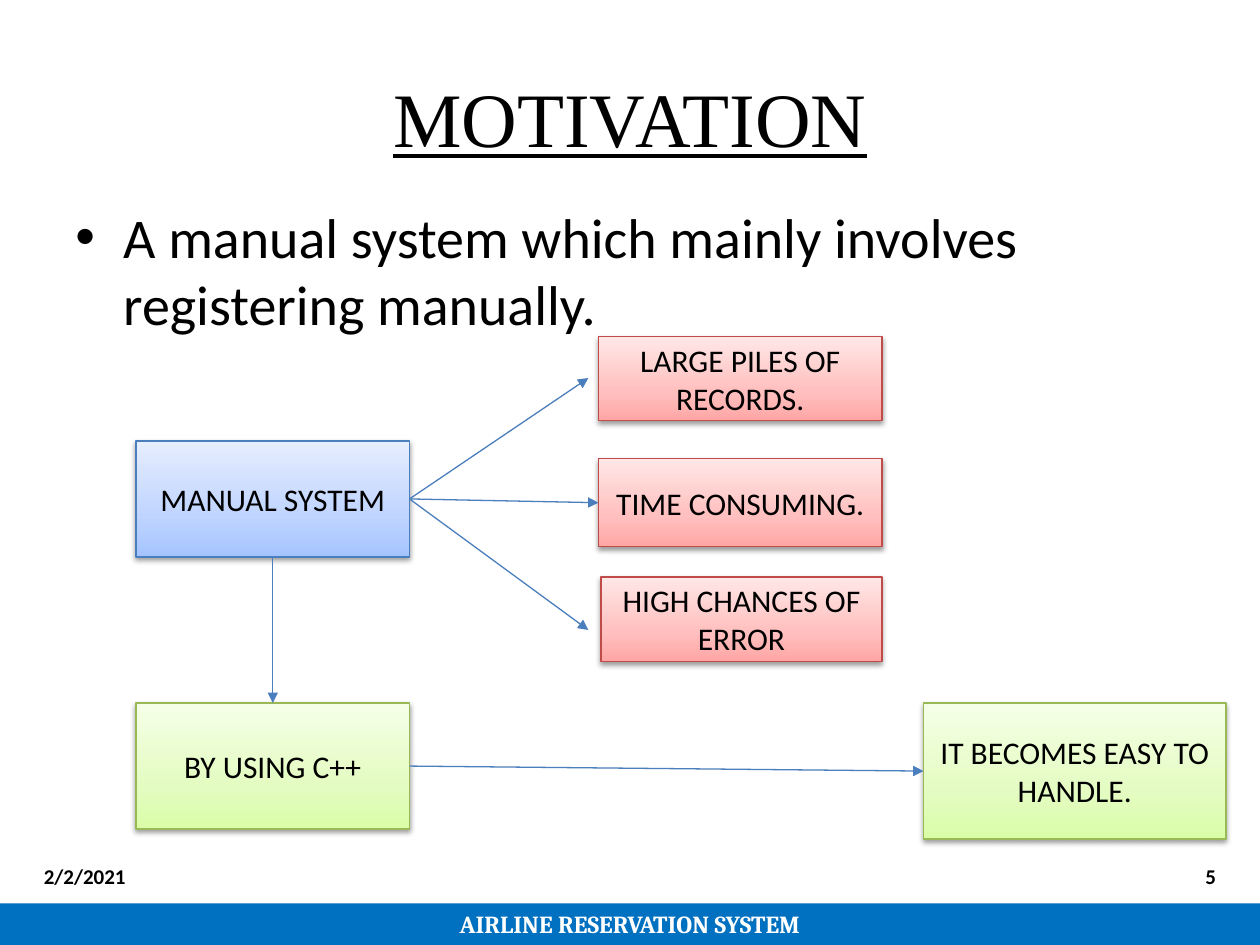
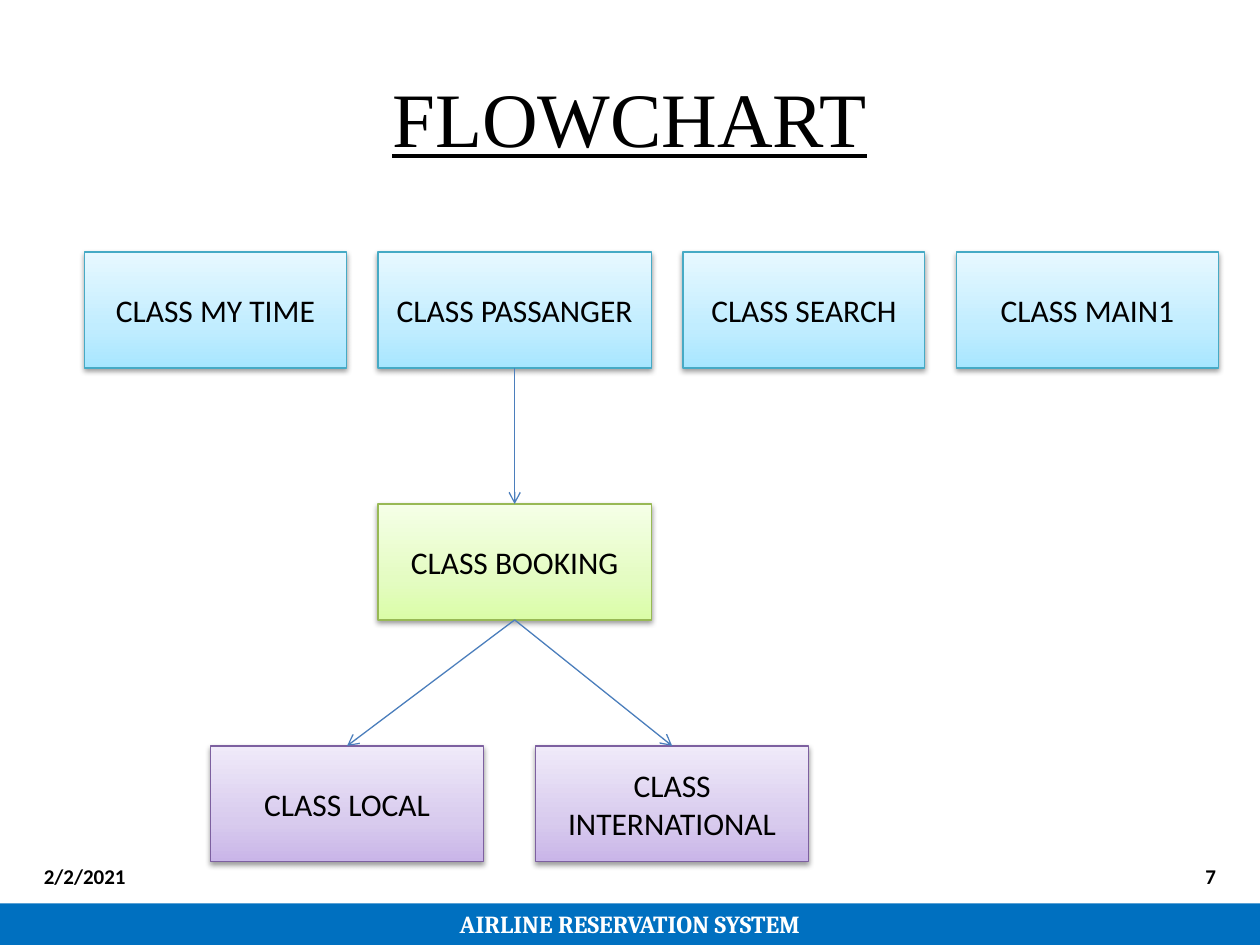
from collections import namedtuple
from dataclasses import dataclass

from lxml import etree
from pptx import Presentation
from pptx import util as u
from pptx.dml.color import RGBColor
from pptx.enum import shapes, text
from pptx.oxml.ns import qn

# Gradient stops run from the bottom of a box to its top.
Tone = namedtuple("Tone", "low mid high edge")


@dataclass(frozen=True)
class Theme:
    ink: str = "000000"
    paper: str = "FFFFFF"
    band: str = "0070C0"
    wire: str = "4B7EBC"
    blue: Tone = Tone("A4C4FF", "BFD4FF", "E6EEFF", "4B7EBC")
    red: Tone = Tone("FFA6A5", "FFC0BF", "FFE7E7", "BF4C48")
    green: Tone = Tone("DAFDA7", "E4FCC2", "F5FFE7", "98B955")
    aqua: Tone = Tone("A7E6FF", "C1EDFF", "E7F8FF", "46AAC5")
    plum: Tone = Tone("C9B5E8", "D8CBEE", "F0EAF9", "7D60A0")
    sans: str = "Calibri"
    serif: str = "Times New Roman"
    strap: str = "Cambria"
    title: int = 44
    body: int = 32
    label: int = 18
    foot: int = 12
    tag: int = 14
    line: float = 0.75


THEME = Theme()
LEFT, MID, RIGHT = text.PP_ALIGN.LEFT, text.PP_ALIGN.CENTER, text.PP_ALIGN.RIGHT
TOP, CORE, BASE = (text.MSO_ANCHOR.TOP, text.MSO_ANCHOR.MIDDLE,
                   text.MSO_ANCHOR.BOTTOM)


def node(parent, tag, **attrs):
    return etree.SubElement(parent, qn(tag), {k: str(v) for k, v in attrs.items()})


def write(shape, words, size=THEME.label, font=THEME.sans, color=THEME.ink,
          align=MID, anchor=CORE, bold=False, under=False):
    frame = shape.text_frame
    frame.word_wrap = True
    frame.vertical_anchor = anchor
    para = frame.paragraphs[0]
    para.alignment = align
    run = para.add_run()
    run.text = words
    run.font.size = u.Pt(size)
    run.font.name = font
    run.font.bold = bold
    run.font.underline = under
    run.font.color.rgb = RGBColor.from_string(color)
    return para


class Deck:
    def __init__(self, theme):
        self.theme = theme
        self.prs = Presentation()
        self.prs.slide_width = u.Inches(10)
        self.prs.slide_height = u.Inches(7.5)
        self.slide = None

    def page(self, title):
        t = self.theme
        self.slide = self.prs.slides.add_slide(self.prs.slide_layouts[6])
        self.note(title, 0.5, 0.3, 9, 1.25, size=t.title, font=t.serif, under=True)

    def note(self, words, x, y, w, h, **style):
        box = self.slide.shapes.add_textbox(*map(u.Inches, (x, y, w, h)))
        return write(box, words, **style)

    def bullet(self, words, x, y, w, h):
        t = self.theme
        para = self.note(words, x, y, w, h, size=t.body, align=LEFT, anchor=TOP)
        para.space_before = u.Pt(0.2 * t.body)
        props = para._p.get_or_add_pPr()
        hang = u.Inches(0.38)
        props.set("marL", str(hang))
        props.set("indent", str(-hang))
        node(props, "a:buFont", typeface="Arial")
        node(props, "a:buChar", char="•")

    def rect(self, x, y, w, h):
        box = self.slide.shapes.add_shape(
            shapes.MSO_SHAPE.RECTANGLE, *map(u.Inches, (x, y, w, h)))
        box.shadow.inherit = False
        return box

    def box(self, words, tone, x, y, w=2.17, h=0.92):
        """Add a labelled box with a soft gradient and a drop shadow."""
        box = self.rect(x, y, w, h)
        box.fill.gradient()
        box.fill.gradient_angle = 90
        box.line.color.rgb = RGBColor.from_string(tone.edge)
        box.line.width = u.Pt(self.theme.line)
        props = box.element.spPr
        stops = props.find(qn("a:gradFill")).find(qn("a:gsLst"))
        for stop in list(stops):
            stops.remove(stop)
        for pos, color in zip((0, 35, 100), tone):
            node(node(stops, "a:gs", pos=pos * 1000), "a:srgbClr", val=color)
        shade = node(props.find(qn("a:effectLst")), "a:outerShdw",
                     blurRad=u.Pt(3.1), dist=u.Pt(1.6), dir=90 * 60000,
                     rotWithShape=0)
        node(node(shade, "a:srgbClr", val=self.theme.ink), "a:alpha", val=38000)
        write(box, words)
        return box

    def arrow(self, start, side, end, into=None, head="triangle"):
        """Join a side of start to a side of the end box, or to an (x, y) point."""
        wire = self.slide.shapes.add_connector(
            shapes.MSO_CONNECTOR.STRAIGHT, 0, 0, 0, 0)
        wire.begin_connect(start, side)
        if into is None:
            wire.end_x, wire.end_y = map(u.Inches, end)
        else:
            wire.end_connect(end, into)
        wire.line.color.rgb = RGBColor.from_string(self.theme.wire)
        wire.line.width = u.Pt(self.theme.line)
        props = wire.element.spPr
        node(props.find(qn("a:ln")), "a:tailEnd", type=head)
        node(props, "a:effectLst")

    def footer(self, number):
        t = self.theme
        for words, x, align in (("2/2/2021", 0.25, LEFT), (number, 7.42, RIGHT)):
            self.note(words, x, 6.75, 2.33, 0.4, size=t.foot, bold=True, align=align)
        band = self.rect(0, 7.17, 10, 0.33)
        band.fill.solid()
        band.fill.fore_color.rgb = RGBColor.from_string(t.band)
        band.line.fill.background()
        write(band, "AIRLINE RESERVATION SYSTEM", size=t.tag, font=t.strap,
              color=t.paper, bold=True, anchor=BASE)


def motive(deck):
    t = deck.theme
    deck.page("MOTIVATION")
    deck.bullet("A manual system which mainly involves registering manually.",
                0.5, 1.56, 9, 5.52)
    manual = deck.box("MANUAL SYSTEM", t.blue, 1.08, 3.5)
    deck.box("LARGE PILES OF RECORDS.", t.red, 4.75, 2.67, 2.25, 0.67)
    slow = deck.box("TIME CONSUMING.", t.red, 4.75, 3.64, 2.25, 0.7)
    deck.box("HIGH CHANCES OF ERROR", t.red, 4.77, 4.58, 2.23, 0.67)
    code = deck.box("BY USING C++", t.green, 1.08, 5.58, h=1)
    easy = deck.box("IT BECOMES EASY TO HANDLE.", t.green, 7.33, 5.58, 2.4, 1.08)
    deck.arrow(manual, 3, (4.67, 3))
    deck.arrow(manual, 3, slow, 1)
    deck.arrow(manual, 3, (4.67, 5))
    deck.arrow(manual, 2, code, 0)
    deck.arrow(code, 3, easy, 1)
    deck.footer("5")


def flow(deck):
    t = deck.theme
    deck.page("FLOWCHART")
    x, gap, row = 0.67, 0.25, {}
    for name, width in (("MY TIME", 2.08), ("PASSANGER", 2.17),
                        ("SEARCH", 1.92), ("MAIN1", 2.08)):
        row[name] = deck.box(f"CLASS {name}", t.aqua, x, 2, width)
        x += width + gap
    booking = deck.box("CLASS BOOKING", t.green, 3, 4)
    kinds = [deck.box(f"CLASS {name}", t.plum, left, 5.92)
             for name, left in (("LOCAL", 1.67), ("INTERNATIONAL", 4.25))]
    deck.arrow(row["PASSANGER"], 2, booking, 0, head="arrow")
    for kind in kinds:
        deck.arrow(booking, 2, kind, 0, head="arrow")
    deck.footer("7")


def main():
    deck = Deck(THEME)
    motive(deck)
    flow(deck)
    deck.prs.save("out.pptx")


if __name__ == "__main__":
    main()
